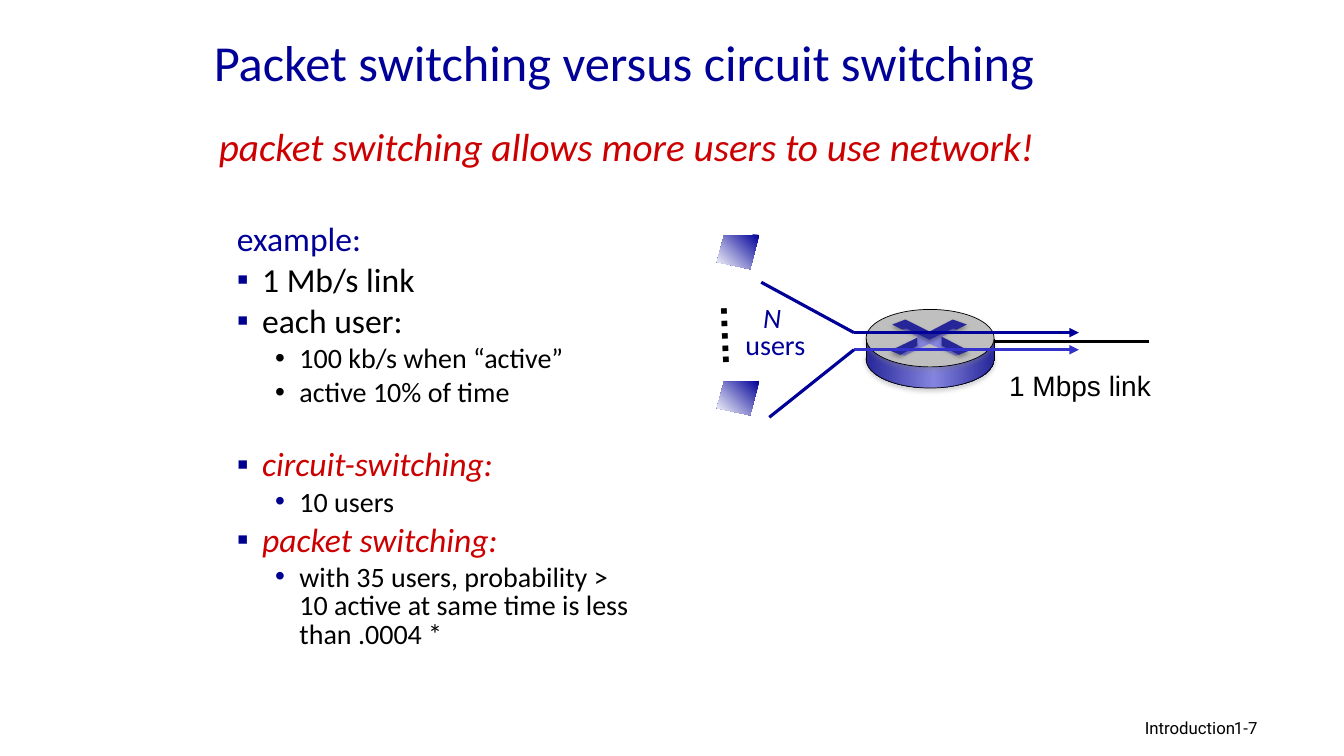
from dataclasses import dataclass
from typing import Optional

from lxml.etree import SubElement
from pptx import Presentation
from pptx.dml.color import RGBColor
from pptx.enum.shapes import MSO_CONNECTOR, MSO_SHAPE
from pptx.enum.text import MSO_ANCHOR, MSO_AUTO_SIZE, PP_ALIGN
from pptx.oxml.ns import qn
from pptx.util import Inches, Pt

HUES = {
    "black": "000000", "white": "FFFFFF", "navy": "000099", "mark": "000090",
    "blue": "3333CC", "red": "CC0000", "deep": "262699", "pale": "8585E0",
    "lid": "BFBFBF", "gray": "808080",
}
BODY = "Calibri"
SHEEN = [(0, "deep"), (53, "pale"), (100, "deep")]
FADE = [(0, "navy"), (100, "white")]


@dataclass
class Item:
    text: str
    level: int = 0
    hue: str = "black"
    mark: Optional[str] = "mark"
    slant: bool = False
    gap: float = 0.2  # space before, as a share of the text size


@dataclass
class Label:
    box: tuple
    lines: list
    size: float
    font: str
    hue: str = "black"
    align: PP_ALIGN = PP_ALIGN.LEFT
    wrap: bool = False
    bold: bool = False
    turn: float = 0
    pitch: float = 1


@dataclass
class Wire:
    start: tuple
    end: tuple
    hue: str = "navy"
    width: float = 2.25
    arrow: bool = False
    shade: bool = False


@dataclass
class Patch:
    points: list
    hue: str
    shade: bool = True


def rgb(hue: str) -> RGBColor:
    return RGBColor.from_string(HUES[hue])


def place(shape, box: tuple) -> None:
    shape.left, shape.top, shape.width, shape.height = map(Inches, box)


def add_run(par, text: str, size: float, hue: str, font: str = BODY,
            slant: bool = False, bold: bool = False) -> None:
    run = par.add_run()
    run.text = text
    face = run.font
    face.name, face.size, face.italic, face.bold = font, Pt(size), slant, bold
    face.color.rgb = rgb(hue)


def indent(par, left: float, hang: float, mark: Optional[str], sign: str) -> None:
    props = par._p.get_or_add_pPr()
    props.set("marL", str(Inches(left)))
    props.set("indent", str(-Inches(hang)))
    if mark is None:
        SubElement(props, qn("a:buNone"))
        return
    tint = SubElement(props, qn("a:buClr"))
    SubElement(tint, qn("a:srgbClr"), val=HUES[mark])
    SubElement(props, qn("a:buFont"), typeface="Arial")
    SubElement(props, qn("a:buChar"), char=sign)


def set_shade(item, hue: Optional[str] = None) -> None:
    """Give a soft shadow below, or none when no hue is named."""
    effects = SubElement(item._element.spPr, qn("a:effectLst"))
    if hue:
        cast = SubElement(effects, qn("a:outerShdw"), blurRad=str(Pt(3.1)),
                          dist=str(Pt(1.8)), dir="5400000", rotWithShape="0")
        tint = SubElement(cast, qn("a:srgbClr"), val=HUES[hue])
        SubElement(tint, qn("a:alpha"), val="35000")


def blend(shape, stops: list, angle: float) -> None:
    shape.fill.gradient()
    shape.fill.gradient_angle = angle
    ramp = shape._element.spPr.find(qn("a:gradFill")).find(qn("a:gsLst"))
    for stop in list(ramp):
        ramp.remove(stop)
    for spot, hue in stops:
        stop = SubElement(ramp, qn("a:gs"), pos=str(spot * 1000))
        SubElement(stop, qn("a:srgbClr"), val=HUES[hue])


def paint(shape, hue: Optional[str] = None, stops: Optional[list] = None,
          angle: float = 0, edge: bool = False, shade: Optional[str] = None) -> None:
    if stops:
        blend(shape, stops, angle)
    else:
        shape.fill.solid()
        shape.fill.fore_color.rgb = rgb(hue)
    if edge:
        shape.line.color.rgb = rgb("black")
        shape.line.width = Pt(0.5)
    else:
        shape.line.fill.background()
    set_shade(shape, shade)


def add_wire(home, wire: Wire) -> None:
    ends = map(Inches, wire.start + wire.end)
    line = home.add_connector(MSO_CONNECTOR.STRAIGHT, *ends)
    line.line.color.rgb = rgb(wire.hue)
    line.line.width = Pt(wire.width)
    if wire.arrow:
        SubElement(line.line._get_or_add_ln(), qn("a:tailEnd"), type="triangle")
    set_shade(line, "gray" if wire.shade else None)


def add_patch(home, points: list):
    spots = [(Inches(x), Inches(y)) for x, y in points]
    pen = home.build_freeform(*spots[0])
    pen.add_line_segments(spots[1:], close=True)
    return pen.convert_to_shape()


def add_label(home, label: Label) -> None:
    box = home.add_textbox(*map(Inches, label.box))
    box.rotation = label.turn
    frame = box.text_frame
    frame.word_wrap = label.wrap
    for spot, (text, slant) in enumerate(label.lines):
        par = frame.add_paragraph() if spot else frame.paragraphs[0]
        par.alignment, par.line_spacing = label.align, label.pitch
        add_run(par, text, label.size, label.hue, label.font, slant, label.bold)


def fill_list(holder, box: tuple, items: list, sizes: tuple, insets: tuple) -> None:
    place(holder, box)
    frame = holder.text_frame
    frame.auto_size, frame.word_wrap = MSO_AUTO_SIZE.NONE, True
    frame.vertical_anchor = MSO_ANCHOR.TOP
    for spot, item in enumerate(items):
        par = frame.add_paragraph() if spot else frame.paragraphs[0]
        size = sizes[item.level]
        par.level = item.level
        indent(par, *insets[item.level], item.mark, "▪•"[item.level])
        par.alignment, par.line_spacing = PP_ALIGN.LEFT, 0.85
        par.space_before = Pt(round(size * item.gap, 1) if spot else 0)
        add_run(par, item.text, size, item.hue, slant=item.slant)


ITEMS = [
    Item("example:", hue="navy", mark=None),
    Item("1 Mb/s link"),
    Item("each user:"),
    Item("100 kb/s when “active”", 1, mark="black"),
    Item("active 10% of time", 1, mark="black"),
    Item("circuit-switching:", hue="red", slant=True, gap=1.22),
    Item("10 users", 1),
    Item("packet switching:", hue="red", slant=True),
    Item("with 35 users, probability > 10 active at same time is less than .0004 *", 1),
]
CLAIM = [Item("packet switching allows more users to use network!",
              hue="red", mark=None, slant=True)]
CROSS = [
    Patch([(9.22, 3.41), (8.97, 3.53), (8.91, 3.51), (9.1, 3.43), (9.1, 3.34),
           (8.95, 3.27), (9, 3.26), (9.22, 3.36), (9.44, 3.25), (9.5, 3.27),
           (9.34, 3.34), (9.37, 3.45), (9.53, 3.51), (9.48, 3.53)], "pale", False),
    Patch([(8.85, 3.22), (8.98, 3.17), (9.22, 3.29), (9.45, 3.17), (9.59, 3.22),
           (9.49, 3.27), (9.45, 3.26), (9.22, 3.37), (8.99, 3.26), (8.95, 3.27)], "deep"),
    Patch([(9.34, 3.34), (9.61, 3.48), (9.51, 3.52), (9.34, 3.43)], "deep"),
    Patch([(9.1, 3.35), (9.1, 3.43), (8.93, 3.52), (8.83, 3.48)], "deep"),
]
WIRES = [
    Wire((7.55, 2.8), (8.47, 3.3)),
    Wire((8.47, 3.3), (10.7, 3.3), arrow=True),
    Wire((8.47, 3.47), (10.7, 3.47), "blue", arrow=True),
    Wire((7.63, 4.14), (8.47, 3.47)),
    Wire((9.86, 3.39), (11.4, 3.39), "black"),
]
LABELS = [
    Label((7.29, 3, 0.8, 0.64), [("N ", True), ("users", False)], 20, BODY, "navy",
          PP_ALIGN.CENTER, pitch=0.8),
    Label((9.91, 3.61, 1.61, 0.43), [("1 Mbps link", False)], 20, "Arial"),
    Label((6.91, 3.04, 0.81, 0.57), [("…..", False)], 28, "Arial", bold=True, turn=87.9),
    Label((8.13, 7.07, 4.22, 0.31), [("Introduction", False)], 12, "Roboto",
          align=PP_ALIGN.RIGHT, wrap=True),
    Label((12.14, 7.07, 0.99, 0.3), [("1-7", False)], 12, "Roboto", wrap=True),
]


def add_router(home) -> None:
    group = home.add_group_shape().shapes
    left, width, depth = 8.59, 1.27, 0.57
    oval, block = MSO_SHAPE.OVAL, MSO_SHAPE.RECTANGLE
    base = group.add_shape(oval, *map(Inches, (left, 3.28, width, depth)))
    paint(base, stops=SHEEN, edge=True, shade="gray")
    side = group.add_shape(block, *map(Inches, (left, 3.36, width, 0.21)))
    paint(side, stops=SHEEN)
    lid = group.add_shape(oval, *map(Inches, (left, 3.07, width, depth)))
    paint(lid, "lid", edge=True, shade="gray")
    for patch in CROSS:
        paint(add_patch(group, patch.points), patch.hue,
              shade="black" if patch.shade else None)
    for x in (left, left + width):
        add_wire(group, Wire((x, 3.58), (x, 3.36), "black", 0.5, shade=True))


def main() -> None:
    deck = Presentation()
    deck.slide_width, deck.slide_height = Inches(13.33), Inches(7.5)
    slide = deck.slides.add_slide(deck.slide_layouts[3])
    home = slide.shapes

    # Title and lists
    title, body, claim = slide.placeholders
    place(title, (2.02, 0.19, 8.75, 0.84))
    frame = title.text_frame
    frame.auto_size, frame.vertical_anchor = MSO_AUTO_SIZE.NONE, MSO_ANCHOR.MIDDLE
    frame.paragraphs[0].alignment = PP_ALIGN.LEFT
    add_run(frame.paragraphs[0], "Packet switching versus circuit switching", 36, "navy")
    fill_list(body, (2.25, 2.17, 4.17, 5.08), ITEMS, (24, 20), ((0.25, 0.25), (0.62, 0.24)))
    fill_list(claim, (2.07, 1.23, 9.53, 0.67), CLAIM, (28,), ((0.38, 0.38),))

    # Router, wires and labels
    add_router(home)
    for wire in WIRES:
        add_wire(home, wire)
    for label in LABELS:
        add_label(home, label)

    # Screens of the first and last user
    for top in (2.33, 3.78):
        screen = add_patch(home, [(7.53, top), (7.18, top + 0.01), (7.11, top + 0.27),
                                  (7.44, top + 0.34)])
        paint(screen, stops=FADE, angle=225)

    deck.save("out.pptx")


if __name__ == "__main__":
    main()
